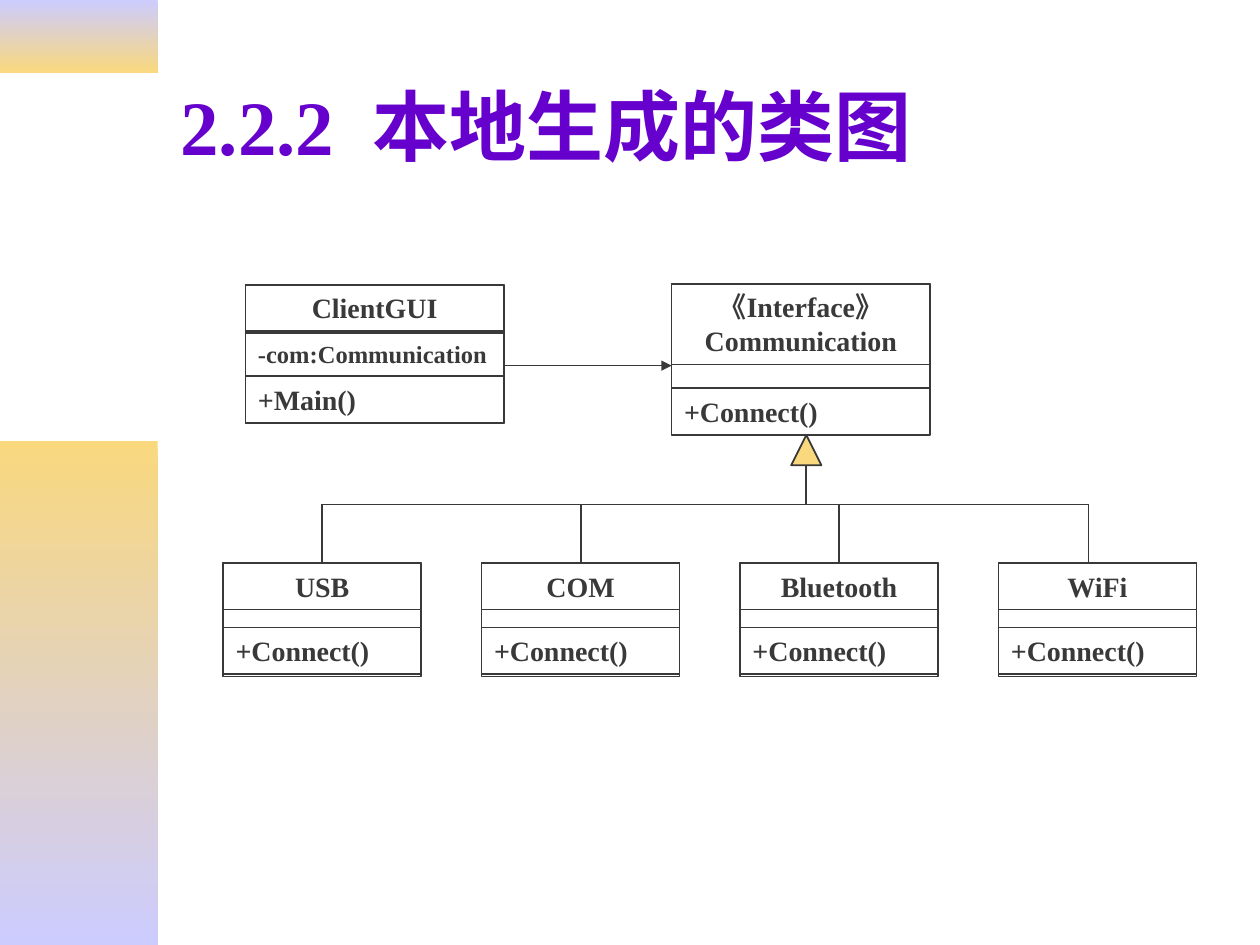
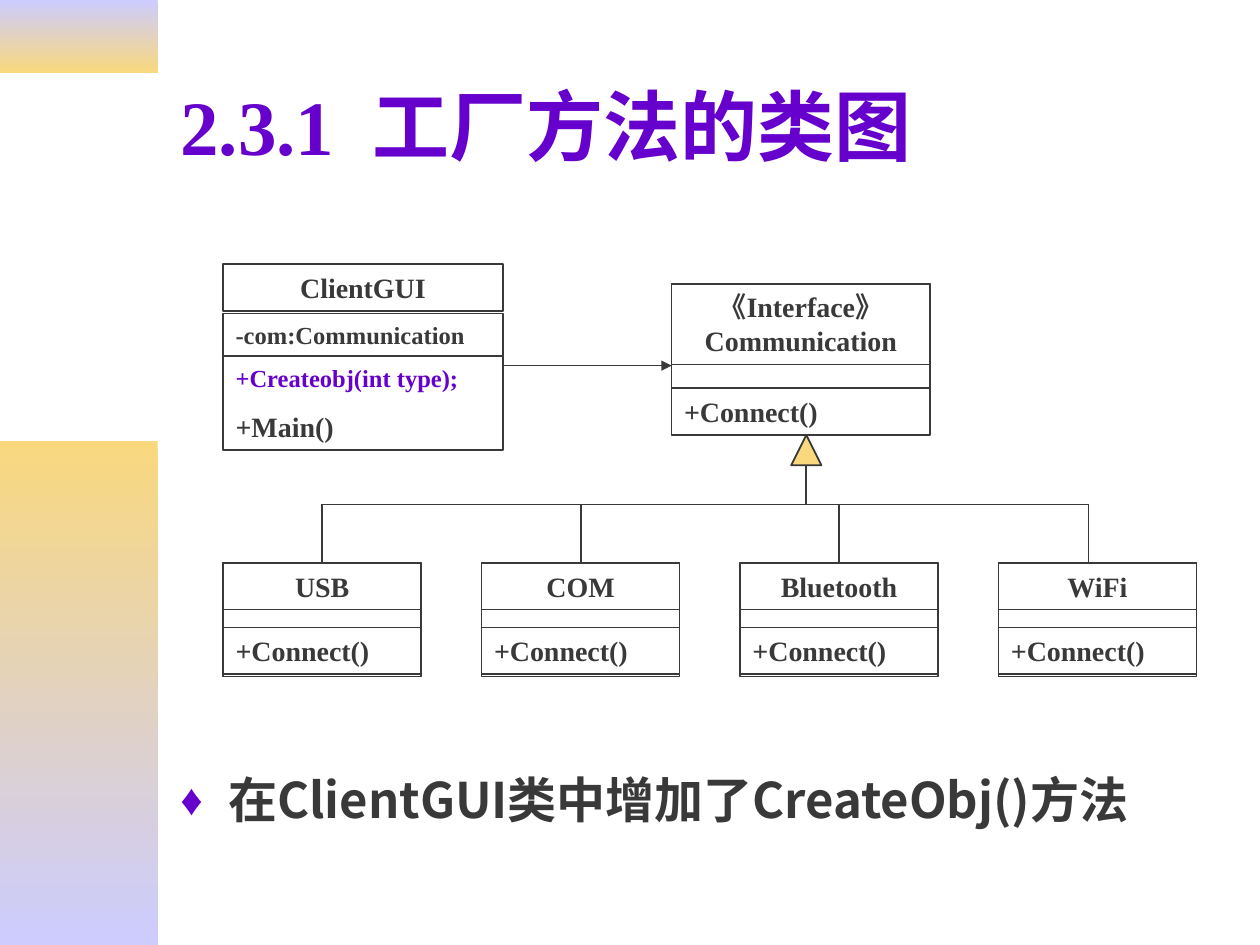
from dataclasses import dataclass

from lxml.etree import SubElement
from pptx import Presentation
from pptx.dml.color import RGBColor
from pptx.enum.shapes import MSO_CONNECTOR, MSO_SHAPE
from pptx.enum.text import MSO_ANCHOR, MSO_AUTO_SIZE, PP_ALIGN
from pptx.oxml.ns import qn
from pptx.util import Cm, Pt


@dataclass(frozen=True)
class Theme:
    ink: RGBColor = RGBColor.from_string("393939")
    accent: RGBColor = RGBColor.from_string("6600CC")
    gold: RGBColor = RGBColor.from_string("F9D87E")
    lavender: RGBColor = RGBColor.from_string("CCCCFF")
    latin_font: str = "Times New Roman"
    chinese_font: str = "Noto Sans CJK SC"
    title_size: int = 44
    body_size: int = 28
    class_size: int = 16
    detail_size: int = 14
    line_width: int = 1


@dataclass(frozen=True)
class Line:
    """One line of text in a class compartment."""
    text: str
    size: int = Theme.class_size
    color: RGBColor = Theme.ink


@dataclass(frozen=True)
class Compartment:
    """Part of a class box; offset is measured in cm from the top of the box."""
    offset: float
    height: float
    lines: tuple
    align: PP_ALIGN = PP_ALIGN.LEFT


THEME = Theme()
TITLE_ONLY, TITLE_AND_BODY = 5, 1
TOP_SIDE, BOTTOM_SIDE = 0, 2

NAME_HEIGHT, DETAIL_HEIGHT = 0.94, 0.86
SUBCLASS_LEFT, SUBCLASS_PITCH, SUBCLASS_WIDTH = 4.5, 5.21, 3.99
SUBCLASS_TOP, SUBCLASS_HEIGHT = 11.35, 2.29
# Class name and shift of its branch from the middle of the box
SUBCLASSES = (("USB", 0), ("COM", 0), ("Bluetooth", 0), ("WiFi", -0.18))
INTERFACE_LEFT, INTERFACE_TOP, INTERFACE_WIDTH, INTERFACE_HEIGHT = 13.54, 5.72, 5.21, 3.05
TRIANGLE_LEFT, TRIANGLE_SIZE = 15.95, 0.61
ARROW_Y, RAIL_Y = 7.37, 10.17


def add_run(paragraph, text, size, color, font=THEME.latin_font):
    run = paragraph.add_run()
    run.text = text
    run.font.name = font
    run.font.size = Pt(size)
    run.font.bold = True
    run.font.color.rgb = color
    properties = run.font._element
    SubElement(properties, qn("a:ea")).set("typeface", THEME.chinese_font)
    return run


def place(shape, left, top, width, height):
    shape.left, shape.top = Cm(left), Cm(top)
    shape.width, shape.height = Cm(width), Cm(height)


def add_band(slide, top, height, colors):
    band = slide.shapes.add_shape(MSO_SHAPE.RECTANGLE, 0, Cm(top), Cm(3.18), Cm(height))
    band.shadow.inherit = False
    band.line.fill.background()
    band.fill.gradient()
    band.fill.gradient_angle = 270
    for stop, color, position in zip(band.fill.gradient_stops, colors, (0, 1)):
        stop.color.rgb = color
        stop.position = position
    return band


def add_master_bands(presentation, slide):
    """Draw the side bands and move them to the master, behind its placeholders."""
    bands = (
        add_band(slide, 0, 1.47, (THEME.lavender, THEME.gold)),
        add_band(slide, 8.89, 10.16, (THEME.gold, THEME.lavender)),
    )
    for index, band in enumerate(bands, start=2):
        presentation.slide_master.shapes.element.insert(index, band.element)


def add_titled_slide(presentation, layout_index, number, title):
    slide = presentation.slides.add_slide(presentation.slide_layouts[layout_index])
    placeholder = slide.shapes.title
    place(placeholder, 3.38, 0.84, 21.59, 3.35)
    frame = placeholder.text_frame
    frame.auto_size = MSO_AUTO_SIZE.NONE
    frame.vertical_anchor = MSO_ANCHOR.MIDDLE
    paragraph = frame.paragraphs[0]
    paragraph.alignment = PP_ALIGN.LEFT
    add_run(paragraph, number, THEME.title_size, THEME.accent)
    gap = add_run(paragraph, " ", THEME.title_size, THEME.accent)
    gap.font._element.set("spc", "1100")
    add_run(paragraph, title, THEME.title_size, THEME.accent)
    return slide


def add_bullet_list(slide, items):
    placeholder = slide.placeholders[1]
    place(placeholder, 3.38, 15.52, 21.59, 1.4)
    frame = placeholder.text_frame
    frame.auto_size = MSO_AUTO_SIZE.NONE
    for index, item in enumerate(items):
        paragraph = frame.add_paragraph() if index else frame.paragraphs[0]
        properties = paragraph._p.get_or_add_pPr()
        properties.set("marL", str(Cm(0.97)))
        properties.set("indent", str(-Cm(0.97)))
        bullet_color = SubElement(properties, qn("a:buClr"))
        SubElement(bullet_color, qn("a:srgbClr")).set("val", str(THEME.accent))
        SubElement(properties, qn("a:buSzPct")).set("val", "90000")
        SubElement(properties, qn("a:buChar")).set("char", "♦")
        paragraph.line_spacing = 0.9
        paragraph.space_before = Pt(7 if index else 0)
        add_run(paragraph, item, THEME.body_size, THEME.ink, THEME.chinese_font)


def add_outlined_shape(slide, preset, left, top, width, height, fill=None):
    shape = slide.shapes.add_shape(preset, Cm(left), Cm(top), Cm(width), Cm(height))
    shape.shadow.inherit = False
    shape.line.color.rgb = THEME.ink
    shape.line.width = Pt(THEME.line_width)
    if fill is None:
        shape.fill.background()
    else:
        shape.fill.solid()
        shape.fill.fore_color.rgb = fill
    return shape


def add_compartment(slide, left, top, width, compartment):
    box = add_outlined_shape(slide, MSO_SHAPE.RECTANGLE, left, top + compartment.offset,
                             width, compartment.height)
    frame = box.text_frame
    frame.word_wrap = True
    frame.vertical_anchor = MSO_ANCHOR.TOP
    for index, line in enumerate(compartment.lines):
        paragraph = frame.add_paragraph() if index else frame.paragraphs[0]
        paragraph.alignment = compartment.align
        paragraph.space_before = Pt(10 if index else 0)
        add_run(paragraph, line.text, line.size, line.color)


def add_class(slide, left, top, width, compartments, height=None):
    """Draw a class; with a height, an outer frame is drawn and returned."""
    frame = None
    if height is not None:
        frame = add_outlined_shape(slide, MSO_SHAPE.RECTANGLE, left, top, width, height)
    for compartment in compartments:
        add_compartment(slide, left, top, width, compartment)
    return frame


def name_compartment(name, height=NAME_HEIGHT):
    return Compartment(0, height, (Line(name),), PP_ALIGN.CENTER)


def method_compartment(offset, method):
    return Compartment(offset, NAME_HEIGHT, (Line(method),))


def attribute_compartment(offset):
    return Compartment(offset, DETAIL_HEIGHT, (Line("-com:Communication", THEME.detail_size),))


def add_line(slide, start, end, arrow=False):
    connector = slide.shapes.add_connector(
        MSO_CONNECTOR.STRAIGHT, *(Cm(value) for value in (*start, *end)))
    connector.line.color.rgb = THEME.ink
    connector.line.width = Pt(THEME.line_width)
    properties = connector.element.spPr
    if arrow:
        SubElement(properties.find(qn("a:ln")), qn("a:tailEnd")).set("type", "triangle")
    SubElement(properties, qn("a:effectLst"))
    return connector


def add_interface(slide):
    add_class(slide, INTERFACE_LEFT, INTERFACE_TOP, INTERFACE_WIDTH, (
        name_compartment("《Interface》Communication", 1.63),
        method_compartment(2.1, "+Connect()"),
    ), INTERFACE_HEIGHT)


def add_inheritance(slide):
    """Draw the subclasses and the tree that joins them to the interface."""
    triangle_top = INTERFACE_TOP + INTERFACE_HEIGHT
    triangle = add_outlined_shape(slide, MSO_SHAPE.FLOWCHART_EXTRACT, TRIANGLE_LEFT,
                                  triangle_top, TRIANGLE_SIZE, TRIANGLE_SIZE, THEME.gold)
    stem_x = TRIANGLE_LEFT + TRIANGLE_SIZE / 2
    stem = add_line(slide, (stem_x, triangle_top + TRIANGLE_SIZE), (stem_x, RAIL_Y))
    stem.begin_connect(triangle, BOTTOM_SIDE)

    branch_positions = []
    for index, (name, shift) in enumerate(SUBCLASSES):
        left = SUBCLASS_LEFT + index * SUBCLASS_PITCH
        subclass = add_class(slide, left, SUBCLASS_TOP, SUBCLASS_WIDTH, (
            name_compartment(name),
            method_compartment(1.3, "+Connect()"),
        ), SUBCLASS_HEIGHT)
        branch_x = left + SUBCLASS_WIDTH / 2 + shift
        branch = add_line(slide, (branch_x, RAIL_Y), (branch_x, SUBCLASS_TOP))
        if not shift:
            branch.end_connect(subclass, TOP_SIDE)
        branch_positions.append(branch_x)
    add_line(slide, (branch_positions[0], RAIL_Y), (branch_positions[-1], RAIL_Y))


def add_class_diagram(slide, client_left, client_top, client_width, compartments,
                      client_height=None):
    add_class(slide, client_left, client_top, client_width, compartments, client_height)
    add_interface(slide)
    add_line(slide, (client_left + client_width, ARROW_Y), (INTERFACE_LEFT, ARROW_Y), arrow=True)
    add_inheritance(slide)


def main():
    presentation = Presentation()
    presentation.slide_width, presentation.slide_height = Cm(25.4), Cm(19.05)

    local_slide = add_titled_slide(presentation, TITLE_ONLY, "2.2.2", "本地生成的类图")
    add_master_bands(presentation, local_slide)
    add_class_diagram(local_slide, 4.95, 5.74, 5.21, (
        name_compartment("ClientGUI"),
        attribute_compartment(0.97),
        method_compartment(1.85, "+Main()"),
    ), 2.79)

    factory_slide = add_titled_slide(presentation, TITLE_AND_BODY, "2.3.1", "工厂方法的类图")
    add_bullet_list(factory_slide, ("在ClientGUI类中增加了CreateObj()方法",))
    add_class_diagram(factory_slide, 4.5, 5.33, 5.64, (
        name_compartment("ClientGUI"),
        attribute_compartment(0.99),
        Compartment(1.86, 1.88, (
            Line("+Createobj(int type);", THEME.detail_size, THEME.accent),
            Line("+Main()"),
        )),
    ))

    presentation.save("out.pptx")


if __name__ == "__main__":
    main()
